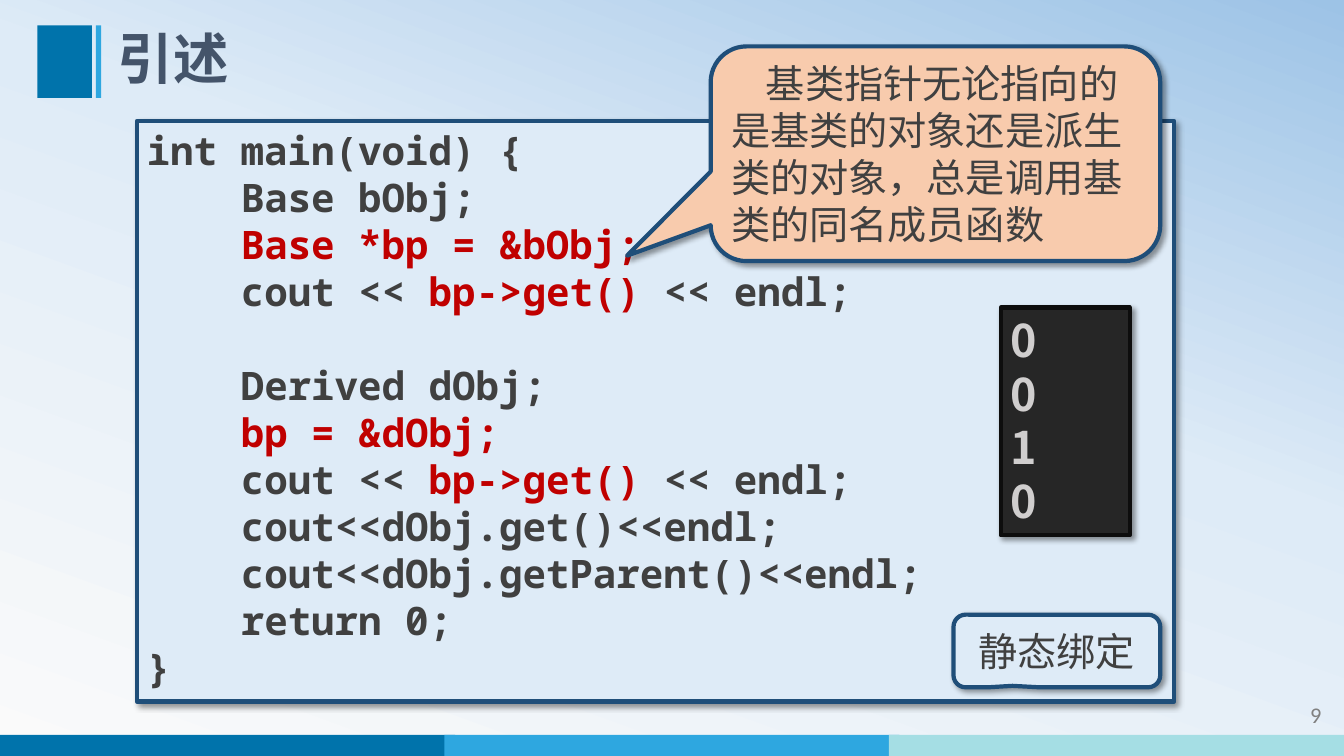
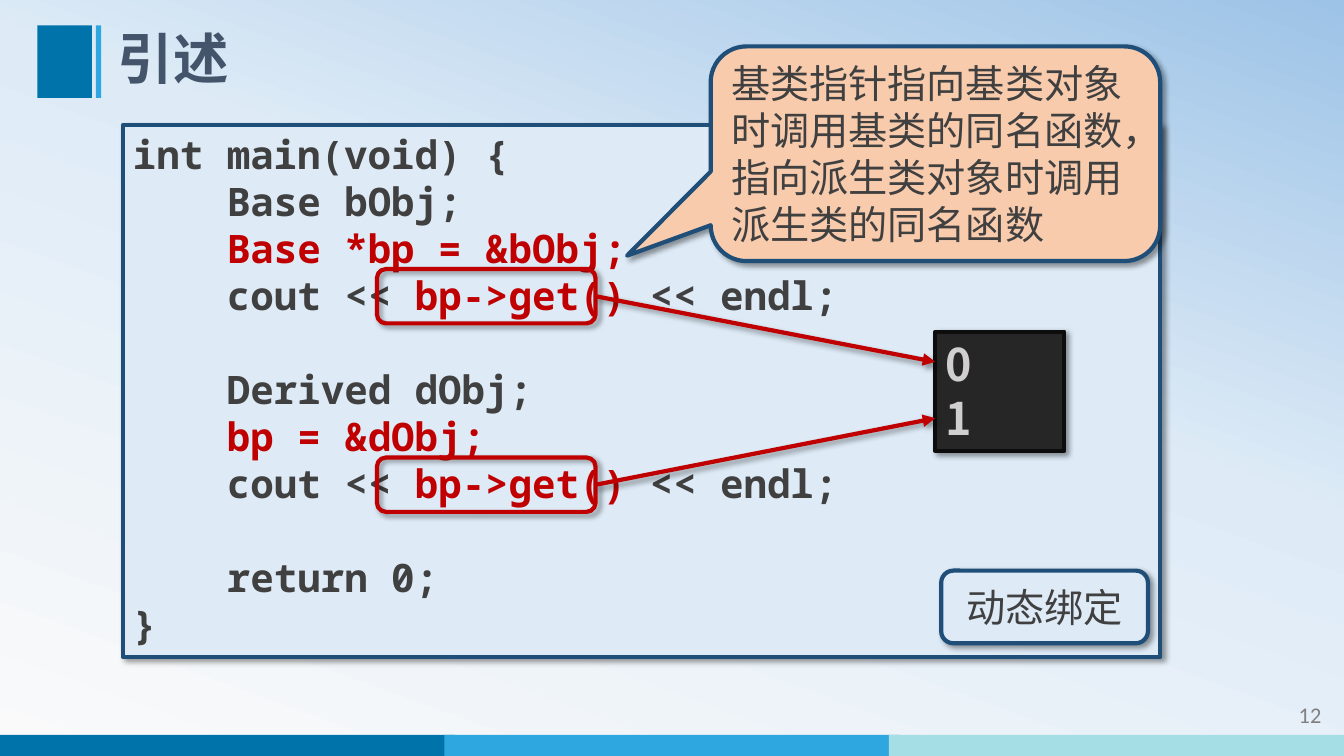
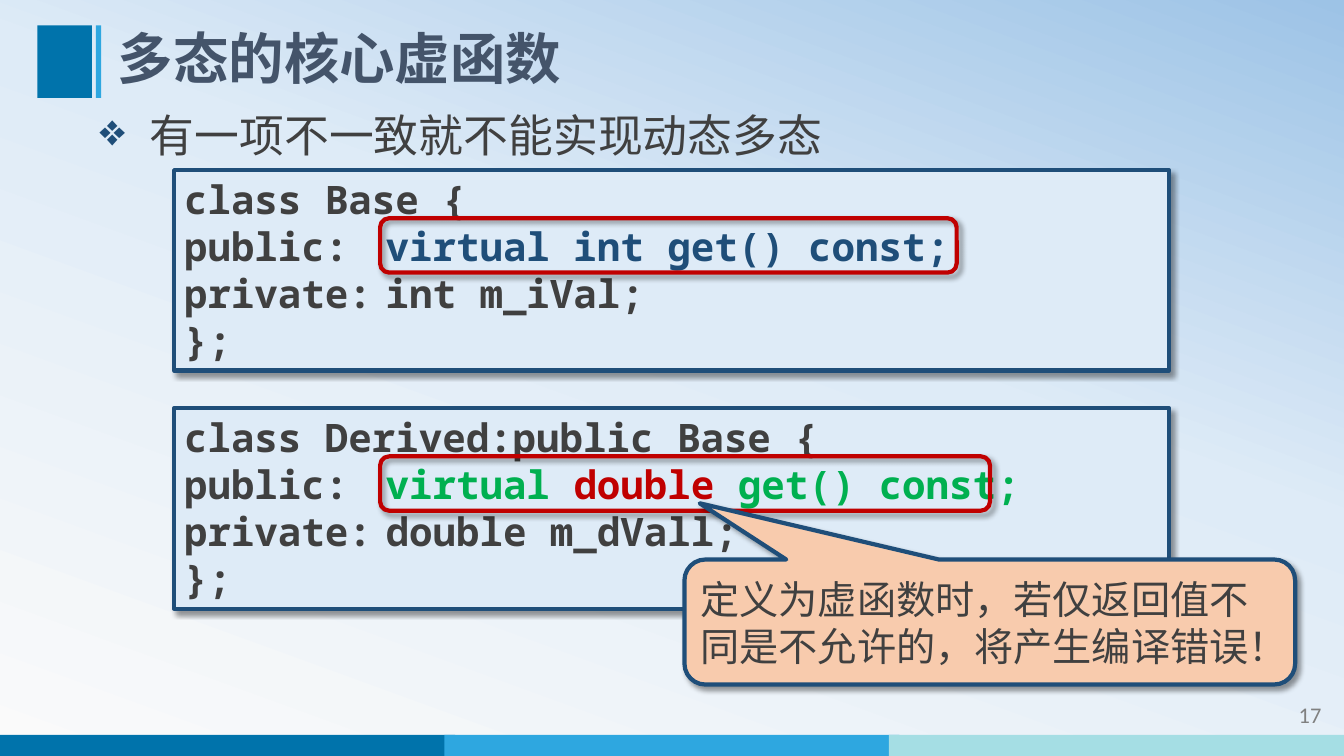
from dataclasses import dataclass
from typing import NamedTuple

from lxml import etree
from pptx import Presentation
from pptx.dml.color import RGBColor
from pptx.enum.shapes import MSO_CONNECTOR, MSO_SHAPE
from pptx.enum.text import MSO_ANCHOR, PP_ALIGN
from pptx.oxml.ns import qn
from pptx.util import Cm, Pt

RECTANGLE = MSO_SHAPE.RECTANGLE
ROUNDED = MSO_SHAPE.ROUNDED_RECTANGLE
CALLOUT = MSO_SHAPE.ROUNDED_RECTANGULAR_CALLOUT
STRAIGHT = MSO_CONNECTOR.STRAIGHT
TOP, MIDDLE = MSO_ANCHOR.TOP, MSO_ANCHOR.MIDDLE
LEFT, CENTER, RIGHT = PP_ALIGN.LEFT, PP_ALIGN.CENTER, PP_ALIGN.RIGHT
RIGHT_SIDE = 3


@dataclass(frozen=True)
class Theme:
    # Colours
    background: tuple = ((0, "FAFAFA"), (58, "DEEBF7"), (100, "9DC3E6"))
    bands: tuple = ("0073AB", "2EA7E0", "A5DEE4")
    title: str = "44546A"
    text: str = "404040"
    number: str = "808080"
    navy: str = "1F4E79"
    red: str = "C00000"
    green: str = "00B050"
    panel: str = "DEEBF7"
    note: str = "F8CBAD"
    console: str = "262626"
    console_line: str = "0D0D0D"
    console_text: str = "D0CECE"
    # Fonts, sizes and line height in points
    sans: str = "Noto Sans CJK SC"
    mono: str = "Noto Sans Mono"
    digits: str = "Calibri"
    title_size: float = 39.6
    large_size: float = 32
    body_size: float = 28
    number_size: float = 16
    line_height: float = 1.2
    outline: float = 3


THEME = Theme()
CODE_PITCH = Pt(THEME.body_size * THEME.line_height)
CODE_INDENT = Cm(2.37)  # four characters
CODE_TAB = Cm(5.93)  # ten characters


class Box(NamedTuple):
    left: float
    top: float
    width: float
    height: float

    def lengths(self):
        return [Cm(value) for value in self]

    def inner(self, left, top, width, height):
        return Box(self.left + left, self.top + top, width, height)


class CodeLine(NamedTuple):
    runs: tuple  # (text, colour) pairs
    indented: bool = False
    gap_before: bool = False


def line(text, color=THEME.text, indented=False, gap_before=False):
    return CodeLine(((text, color),), indented, gap_before)


# Shared drawing helpers

def add_xml(parent, tag, **attributes):
    child = etree.SubElement(parent, qn(tag))
    for name, value in attributes.items():
        child.set(name, str(value))
    return child


def add_shadow(shape):
    effects = add_xml(shape.element.spPr, "a:effectLst")
    shadow = add_xml(effects, "a:outerShdw", blurRad=Pt(4), dist=Pt(3),
                     dir=45 * 60000, algn="tl", rotWithShape=0)
    color = add_xml(shadow, "a:srgbClr", val="000000")
    add_xml(color, "a:alpha", val=40000)


def style_line(shape, color):
    shape.line.color.rgb = RGBColor.from_string(color)
    shape.line.width = Pt(THEME.outline)


def add_block(slide, box, fill=None, outline=None, kind=RECTANGLE):
    """Filled or outlined shape; only outlined ones cast a shadow."""
    shape = slide.shapes.add_shape(kind, *box.lengths())
    if fill:
        shape.fill.solid()
        shape.fill.fore_color.rgb = RGBColor.from_string(fill)
    else:
        shape.fill.background()
    if outline:
        style_line(shape, outline)
        add_shadow(shape)
    else:
        shape.line.fill.background()
        shape.shadow.inherit = False
    return shape


def add_run(paragraph, text, size, color, font, bold=False):
    run = paragraph.add_run()
    run.text = text
    run.font.size = Pt(size)
    run.font.bold = bold
    run.font.color.rgb = RGBColor.from_string(color)
    run.font.name = font
    add_xml(run.font._element, "a:ea", typeface=font)


def prepare_frame(shape, anchor):
    frame = shape.text_frame
    frame.word_wrap = True
    frame.vertical_anchor = anchor
    return frame


def add_paragraphs(frame, count, size, align=LEFT):
    for index in range(count):
        paragraph = frame.add_paragraph() if index else frame.paragraphs[0]
        paragraph.alignment = align
        paragraph.line_spacing = Pt(size * THEME.line_height)
        yield paragraph


def set_indent(paragraph, margin, first_line=0):
    properties = paragraph._p.get_or_add_pPr()
    properties.set("marL", str(margin))
    properties.set("indent", str(first_line))
    return properties


# What all slides share

def set_background(master):
    fill = master.background.fill
    fill.gradient()
    fill.gradient_angle = 70
    stops = next(master.element.iter(qn("a:gsLst")))
    for stop in list(stops):
        stops.remove(stop)
    for position, color in THEME.background:
        stop = add_xml(stops, "a:gs", pos=position * 1000)
        add_xml(stop, "a:srgbClr", val=color)


def add_heading(slide, box, title):
    add_block(slide, box.inner(0, 0, 1.38, box.height), THEME.bands[0])
    add_block(slide, box.inner(1.48, 0, 0.13, box.height), THEME.bands[1])
    area = box.inner(1.78, 0, box.width - 1.78, box.height)
    frame = prepare_frame(slide.shapes.add_textbox(*area.lengths()), MIDDLE)
    paragraph = frame.paragraphs[0]
    paragraph.line_spacing = 0.9
    add_run(paragraph, title, THEME.title_size, THEME.title, THEME.sans, True)


def add_footer(slide, box, number):
    step = 11.2
    width = box.width - 2 * step
    for index, color in enumerate(THEME.bands):
        add_block(slide, box.inner(index * step, 0, width, box.height), color)
    area = box.inner(box.width - 4.36, -0.97, 4.04, 1.02)
    frame = prepare_frame(slide.shapes.add_textbox(*area.lengths()), TOP)
    paragraph = frame.paragraphs[0]
    paragraph.alignment = RIGHT
    add_run(paragraph, str(number), THEME.number_size, THEME.number, THEME.digits)


def new_slide(presentation, title, number):
    slide = presentation.slides.add_slide(presentation.slide_layouts[6])
    add_footer(slide, Box(0, 18.52, 33.87, 0.53), number)
    add_heading(slide, Box(0.94, 0.64, 29.36, 1.83), title)
    return slide


# Regions

def add_code(slide, box, lines):
    shape = add_block(slide, box, THEME.panel, THEME.navy)
    frame = prepare_frame(shape, TOP)
    paragraphs = add_paragraphs(frame, len(lines), THEME.body_size)
    for paragraph, code in zip(paragraphs, lines):
        if code.gap_before:
            paragraph.space_before = CODE_PITCH
        properties = set_indent(paragraph, CODE_INDENT if code.indented else 0)
        if any("\t" in text for text, _ in code.runs):
            tabs = add_xml(properties, "a:tabLst")
            add_xml(tabs, "a:tab", pos=CODE_TAB, algn="l")
        for text, color in code.runs:
            add_run(paragraph, text, THEME.body_size, color, THEME.mono, True)


def add_console(slide, box, output):
    shape = add_block(slide, box, THEME.console, THEME.console_line)
    frame = prepare_frame(shape, TOP)
    paragraphs = add_paragraphs(frame, len(output), THEME.large_size)
    for paragraph, text in zip(paragraphs, output):
        add_run(paragraph, text, THEME.large_size, THEME.console_text,
                THEME.sans, True)


def add_callout(slide, box, text, tip, fill=THEME.note, align=LEFT, first_line=0):
    shape = add_block(slide, box, fill, THEME.navy, CALLOUT)
    for index, value in enumerate((*tip, 0.167)):
        shape.adjustments[index] = value
    frame = prepare_frame(shape, MIDDLE)
    for paragraph in add_paragraphs(frame, 1, THEME.body_size, align):
        set_indent(paragraph, 0, first_line)
        add_run(paragraph, text, THEME.body_size, THEME.text, THEME.sans)


def add_tag(slide, left, top, text, tip):
    add_callout(slide, Box(left, top, 5.21, 1.83), text, tip, THEME.panel, CENTER)


def add_highlight(slide, left, top, width):
    box = Box(left, top, width, 1.37)
    return add_block(slide, box, outline=THEME.red, kind=ROUNDED)


def add_arrow(slide, source, left, top):
    arrow = slide.shapes.add_connector(STRAIGHT, 0, 0, Cm(left), Cm(top))
    arrow.begin_connect(source, RIGHT_SIDE)
    style_line(arrow, THEME.red)
    add_xml(arrow.line._get_or_add_ln(), "a:tailEnd", type="triangle")
    add_shadow(arrow)


def add_bullet(slide, box, text):
    frame = prepare_frame(slide.shapes.add_textbox(*box.lengths()), TOP)
    for paragraph in add_paragraphs(frame, 1, THEME.large_size * 1.1):
        paragraph.space_before = Pt(3.2)
        properties = set_indent(paragraph, Cm(1.57), -Cm(1.27))
        color = add_xml(properties, "a:buClr")
        add_xml(color, "a:srgbClr", val=THEME.navy)
        add_xml(properties, "a:buChar", char="❖")
        add_run(paragraph, text, THEME.large_size, THEME.text, THEME.sans)


# Slides

PRINT_CALL = CodeLine((("cout << ", THEME.text), ("bp->get() ", THEME.red),
                       ("<< endl;", THEME.text)), True)
MAIN_START = [
    line("int main(void) {"),
    line("Base bObj;", indented=True),
    line("Base *bp = &bObj;", THEME.red, True),
    PRINT_CALL,
    line("Derived dObj;", indented=True, gap_before=True),
    line("bp = &dObj;", THEME.red, True),
    PRINT_CALL,
]
NOTE_BOX = Box(17.91, 1.17, 11.33, 5.41)
NOTE_TIP = (-0.686, 0.475)


def static_binding_slide(presentation):
    slide = new_slide(presentation, "引述", 9)
    add_code(slide, Box(3.45, 3.05, 26.14, 14.63), MAIN_START + [
        line("cout<<dObj.get()<<endl;", indented=True),
        line("cout<<dObj.getParent()<<endl;", indented=True),
        line("return 0;", indented=True),
        line("}"),
    ])
    add_console(slide, Box(25.22, 7.75, 3.25, 5.74), "0010")
    add_callout(slide, NOTE_BOX,
                "基类指针无论指向的是基类的对象还是派生类的对象，总是调用基类的同名成员函数",
                NOTE_TIP, first_line=Cm(0.88))
    add_tag(slide, 24.03, 15.49, "静态绑定", (-0.215, 0.48))


def dynamic_binding_slide(presentation):
    slide = new_slide(presentation, "引述", 12)
    add_code(slide, Box(3.1, 3.15, 26.14, 13.41), MAIN_START + [
        line("return 0;", indented=True, gap_before=True),
        line("}"),
    ])
    console = Box(23.57, 8.36, 3.25, 3)
    add_console(slide, console, "01")
    add_callout(slide, NOTE_BOX,
                "基类指针指向基类对象时调用基类的同名函数，指向派生类对象时调用派生类的同名函数",
                NOTE_TIP)
    highlights = [add_highlight(slide, 9.5, top, 5.51) for top in (6.78, 11.53)]
    add_tag(slide, 23.72, 14.38, "动态绑定", (-0.188, 0.499))
    for highlight, offset in zip(highlights, (0.76, 2.18)):
        add_arrow(slide, highlight, console.left, console.top + offset)


def virtual_function_slide(presentation):
    slide = new_slide(presentation, "多态的核心虚函数", 17)
    add_bullet(slide, Box(1.96, 2.46, 29.95, 3.71), "有一项不一致就不能实现动态多态")
    public = ("public:\t", THEME.text)
    classes = (
        ("class Base {", "private:\tint m_iVal;",
         (public, ("virtual int get() const;", THEME.navy))),
        ("class Derived:public Base {", "private:\tdouble m_dVall;",
         (public, ("virtual ", THEME.green), ("double", THEME.red),
          (" get() const;", THEME.green))),
    )
    panels = [Box(4.39, top, 25.07, 5.05) for top in (4.29, 10.29)]
    for panel, (head, member, method) in zip(panels, classes):
        add_code(slide, panel,
                 [line(head), CodeLine(method), line(member), line("};")])
    for panel, width in zip(panels, (14.53, 15.37)):
        add_highlight(slide, panel.left + 5.19, panel.top + 1.21, width)
    add_callout(slide, Box(17.25, 14.1, 15.39, 3.15),
                "定义为虚函数时，若仅返回值不同是不允许的，将产生编译错误！",
                (-0.475, -0.95))


def main():
    presentation = Presentation()
    presentation.slide_width = Cm(33.87)
    presentation.slide_height = Cm(19.05)
    set_background(presentation.slide_master)
    static_binding_slide(presentation)
    dynamic_binding_slide(presentation)
    virtual_function_slide(presentation)
    presentation.save("out.pptx")


if __name__ == "__main__":
    main()
